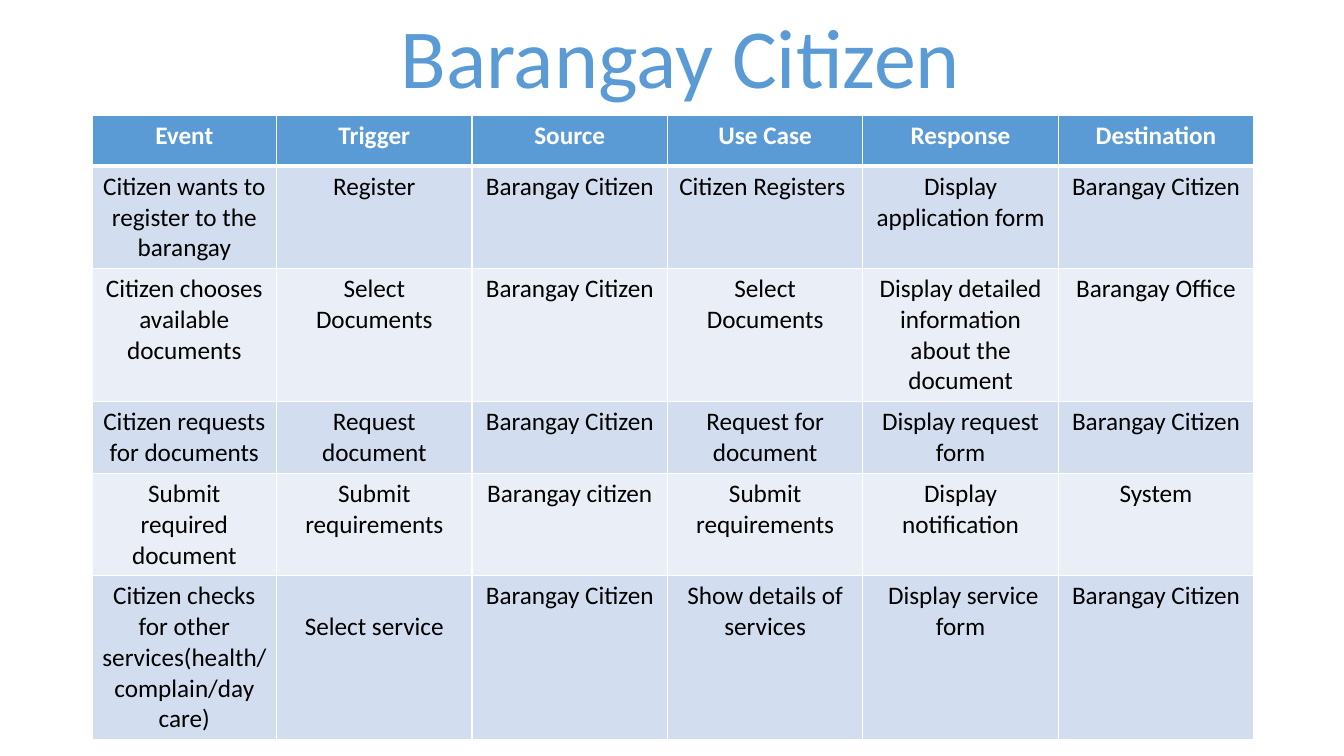
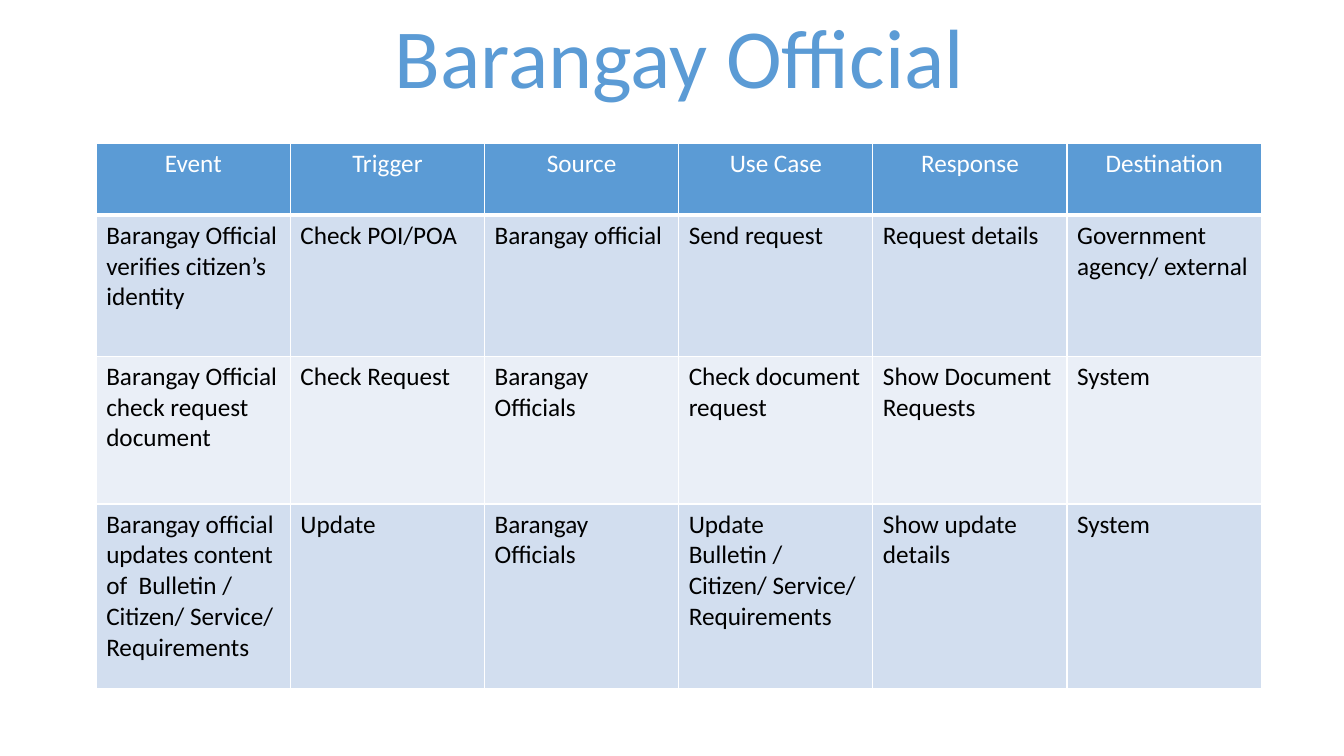
from dataclasses import dataclass

from pptx import Presentation
from pptx.dml.color import RGBColor
from pptx.enum.text import MSO_ANCHOR, MSO_AUTO_SIZE, PP_ALIGN
from pptx.oxml import parse_xml
from pptx.oxml.ns import nsdecls
from pptx.util import Pt

HEADINGS = ("Event", "Trigger", "Source", "Use Case", "Response", "Destination")

SLIDES = (
    {
        "title": "Barangay Citizen",
        "title_box": (204.5, 0, 563, 80),
        "title_wrap": True,
        "origin": (65.7, 82.3),
        "columns": (131.9,) + (139.6,) * 5,
        "rows": (36.5, 73, 95, 51, 73, 117),
        "header_bold": True,
        "body_align": PP_ALIGN.CENTER,
        "lowered": {(5, 1)},
        "body": (
            ("Citizen wants to register to the barangay", "Register", "Barangay Citizen",
             "Citizen Registers ", "Display application form", "Barangay Citizen"),
            ("Citizen chooses available documents", "Select Documents", "Barangay Citizen",
             "Select Documents", "Display detailed information about the document",
             "Barangay Office"),
            ("Citizen requests for documents", "Request document", "Barangay Citizen",
             "Request for document", "Display request form", "Barangay Citizen"),
            ("Submit required document", "Submit requirements", "Barangay citizen",
             "Submit requirements", "Display notification", "System"),
            ("Citizen checks for other services(health/complain/day care)",
             "Select service", "Barangay Citizen", "Show details of services",
             " Display service form", "Barangay Citizen"),
        ),
    },
    {
        "title": "Barangay Official",
        "title_box": (272.2, 0, 426.2, 80),
        "title_wrap": False,
        "origin": (68.7, 102.3),
        "columns": (138.7,) * 6,
        "rows": (51.5, 100.8, 105.5, 131.5),
        "header_bold": False,
        "body_align": PP_ALIGN.LEFT,
        "lowered": set(),
        "body": (
            ("Barangay Official verifies citizen’s identity", "Check POI/POA ",
             "Barangay official", "Send request ", "Request details",
             "Government agency/ external"),
            ("Barangay Official check request document", "Check Request",
             "Barangay Officials ", "Check document request", "Show Document Requests",
             "System"),
            ("Barangay official updates content of  Bulletin / Citizen/ Service/\nRequirements",
             "Update", "Barangay Officials",
             "Update Bulletin / Citizen/ Service/\nRequirements", "Show update details",
             "System"),
        ),
    },
)


@dataclass(frozen=True)
class Theme:
    """Colours, type sizes and line widths shared by the slides."""
    font: str = "Calibri"
    accent: str = "5B9BD5"
    white: str = "FFFFFF"
    ink: str = "000000"
    bands: tuple = ("D2DEEF", "EAEFF7")
    title_size: float = 60
    cell_size: float = 18
    line_height: float = 22
    cell_margin: float = 3.6
    rule: float = 1
    header_rule: float = 3


THEME = Theme()


def write_text(frame, text, align, size, color, bold=False):
    """Fill a text frame, one paragraph per line, in a single format."""
    frame.text = text
    font_format = {"name": THEME.font, "size": Pt(size), "bold": bold}
    for para in frame.paragraphs:
        para.alignment = align
        for span in para.runs:
            for name, value in font_format.items():
                setattr(span.font, name, value)
            span.font.color.rgb = RGBColor.from_string(color)


def add_title(page, content):
    """Add the large centred slide title."""
    box = page.shapes.add_textbox(*(Pt(n) for n in content["title_box"]))
    frame = box.text_frame
    write_text(frame, content["title"], PP_ALIGN.CENTER, THEME.title_size, THEME.accent)
    frame.word_wrap = content["title_wrap"]
    frame.auto_size = MSO_AUTO_SIZE.SHAPE_TO_FIT_TEXT


def add_borders(cell, bottom):
    """Draw white rules on all four sides of a cell."""
    properties = cell._tc.get_or_add_tcPr()
    widths = {"L": THEME.rule, "R": THEME.rule, "T": THEME.rule, "B": bottom}
    for side, width in widths.items():
        properties.append(parse_xml(
            f'<a:ln{side} {nsdecls("a")} w="{Pt(width)}"><a:solidFill>'
            f'<a:srgbClr val="{THEME.white}"/></a:solidFill></a:ln{side}>'))


def style_cell(cell, fill, bottom, lowered):
    """Set the rules, fill and text position of a cell."""
    add_borders(cell, bottom)
    cell.fill.solid()
    cell.fill.fore_color.rgb = RGBColor.from_string(fill)
    cell.vertical_anchor = MSO_ANCHOR.TOP
    cell.margin_top = Pt(THEME.cell_margin + (THEME.line_height if lowered else 0))


def add_event_table(page, content):
    """Add the event table with its header and alternating bands."""
    columns, rows = content["columns"], content["rows"]
    left, top = content["origin"]
    table = page.shapes.add_table(
        len(rows), len(columns), Pt(left), Pt(top), Pt(sum(columns)), Pt(sum(rows))).table
    for column, width in zip(table.columns, columns):
        column.width = Pt(width)
    for row, height in zip(table.rows, rows):
        row.height = Pt(height)
    for r, texts in enumerate((HEADINGS,) + content["body"]):
        header = r == 0
        fill = THEME.accent if header else THEME.bands[(r - 1) % 2]
        bottom = THEME.header_rule if header else THEME.rule
        align = PP_ALIGN.CENTER if header else content["body_align"]
        color = THEME.white if header else THEME.ink
        for c, text in enumerate(texts):
            cell = table.cell(r, c)
            style_cell(cell, fill, bottom, (r, c) in content["lowered"])
            write_text(cell.text_frame, text, align, THEME.cell_size, color,
                       header and content["header_bold"])


def build():
    """Build both slides and save the deck."""
    deck = Presentation()
    deck.slide_width, deck.slide_height = Pt(960), Pt(540)
    for content in SLIDES:
        page = deck.slides.add_slide(deck.slide_layouts[6])
        add_event_table(page, content)
        add_title(page, content)
    deck.save("out.pptx")


build()
